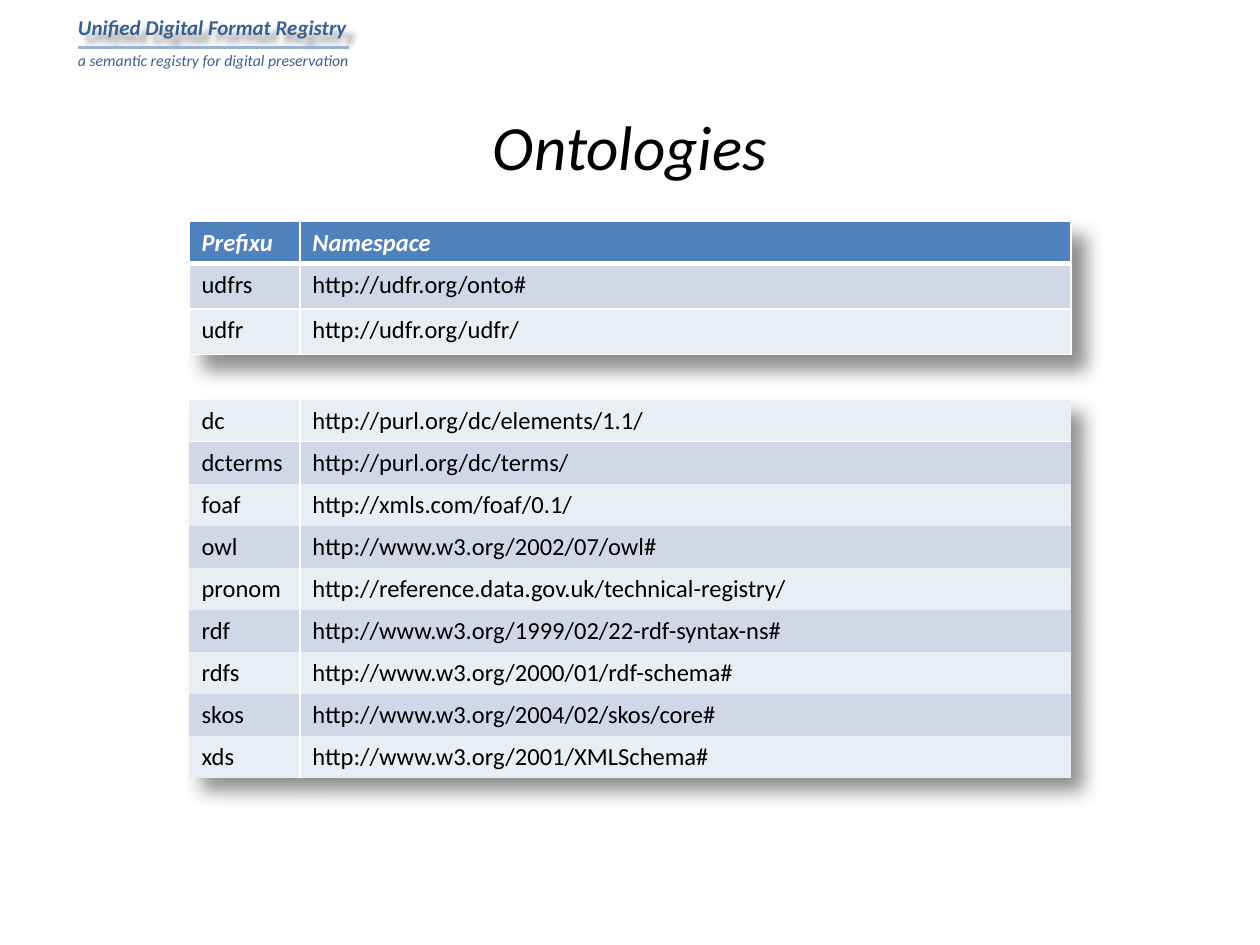
from lxml.etree import SubElement
from pptx import Presentation
from pptx.dml.color import RGBColor
from pptx.enum.shapes import MSO_CONNECTOR
from pptx.enum.text import MSO_ANCHOR, PP_ALIGN
from pptx.oxml import parse_xml
from pptx.oxml.ns import nsdecls, qn
from pptx.util import Inches, Pt

"""Build the Ontologies slide with its two namespace tables."""

WHITE = RGBColor(0xFF, 0xFF, 0xFF)
BLACK = RGBColor(0x00, 0x00, 0x00)
NAVY = RGBColor(0x37, 0x60, 0x92)
RULE_BLUE = RGBColor(0x95, 0xB3, 0xD7)
HEADER_BLUE = RGBColor(0x4F, 0x81, 0xBD)
BAND_DARK = RGBColor(0xD0, 0xD8, 0xE8)
BAND_LIGHT = RGBColor(0xE9, 0xED, 0xF4)
NO_STYLE = "{2D5ABB26-0587-4C30-8999-92F81FD0307C}"


def shadow_effect(blur, distance):
    return parse_xml(
        f'<a:effectLst {nsdecls("a")}><a:outerShdw blurRad="{Inches(blur)}" '
        f'dist="{Inches(distance)}" dir="2700000" algn="tl" rotWithShape="0">'
        '<a:srgbClr val="000000"><a:alpha val="43000"/></a:srgbClr>'
        "</a:outerShdw></a:effectLst>"
    )


def write(paragraph, text, size, color, bold=False, italic=False):
    paragraph.text = text
    paragraph.font.color.rgb = color
    formats = {"name": "Calibri", "size": Pt(size), "bold": bold, "italic": italic}
    for name, value in formats.items():
        setattr(paragraph.font, name, value)


presentation = Presentation()
presentation.slide_width = Inches(10)
presentation.slide_height = Inches(7.5)
slide = presentation.slides.add_slide(presentation.slide_layouts[6])

texts = [
    ("Unified Digital Format Registry", (0.52, 0.07, 2.4, 0.3), 12, NAVY, True),
    ("a semantic registry for digital preservation", (0.52, 0.35, 2.42, 0.25), 9, NAVY, False),
    ("Ontologies", (0.5, 0.75, 9, 0.8), 36, BLACK, False),
]
boxes = []
for text, place, size, color, bold in texts:
    box = slide.shapes.add_textbox(*[Inches(length) for length in place])
    box.text_frame.word_wrap = True
    write(box.text_frame.paragraphs[0], text, size, color, bold, True)
    boxes.append(box)

brand, tagline, title = boxes
brand._element.spPr.append(shadow_effect(0.05, 0.08))
title.text_frame.vertical_anchor = MSO_ANCHOR.MIDDLE
title.text_frame.paragraphs[0].alignment = PP_ALIGN.CENTER

rule = slide.shapes.add_connector(
    MSO_CONNECTOR.STRAIGHT, Inches(0.62), Inches(0.38), Inches(2.77), Inches(0.38)
)
rule.line.color.rgb = RULE_BLUE
rule.line.width = Pt(1.75)
SubElement(rule._element.spPr, qn("a:effectLst"))

project_rows = [
    ("Prefixu", "Namespace"),
    ("udfrs", "http://udfr.org/onto#"),
    ("udfr", "http://udfr.org/udfr/"),
]
external_rows = [
    ("dc", "http://purl.org/dc/elements/1.1/"),
    ("dcterms", "http://purl.org/dc/terms/"),
    ("foaf", "http://xmls.com/foaf/0.1/"),
    ("owl", "http://www.w3.org/2002/07/owl#"),
    ("pronom", "http://reference.data.gov.uk/technical-registry/"),
    ("rdf", "http://www.w3.org/1999/02/22-rdf-syntax-ns#"),
    ("rdfs", "http://www.w3.org/2000/01/rdf-schema#"),
    ("skos", "http://www.w3.org/2004/02/skos/core#"),
    ("xds", "http://www.w3.org/2001/XMLSchema#"),
]
tables = [
    (project_rows, 1.76, 0.36, True),
    (external_rows, 3.17, 0.31, False),
]

for rows, top, row_height, has_header in tables:
    height = 0.3 + row_height * (len(rows) - 1)
    frame = slide.shapes.add_table(
        len(rows), 2, Inches(1.5), Inches(top), Inches(7), Inches(height)
    )
    table = frame.table
    table.first_row = has_header
    properties = table._tbl.tblPr
    properties.find(qn("a:tableStyleId")).text = NO_STYLE
    properties.insert(0, shadow_effect(0.15, 0.15))
    for column, width in zip(table.columns, (0.88, 6.12)):
        column.width = Inches(width)

    for row_index, values in enumerate(rows):
        is_header = has_header and row_index == 0
        table.rows[row_index].height = Inches(row_height if row_index else 0.3)
        band = HEADER_BLUE if is_header else (BAND_LIGHT, BAND_DARK)[row_index % 2]
        for column_index, value in enumerate(values):
            cell = table.cell(row_index, column_index)
            write(
                cell.text_frame.paragraphs[0], value, 14,
                WHITE if is_header else BLACK, is_header, is_header,
            )
            below_header = has_header and row_index == 1
            borders = {
                "L": 1 if has_header or column_index == 1 else 0,
                "R": 1 if has_header or column_index == 0 else 0,
                "T": 3 if below_header else 1 if has_header or row_index < 2 else 0,
                "B": 3 if is_header else 1 if has_header or row_index == 0 else 0,
            }
            cell_properties = cell._tc.get_or_add_tcPr()
            for side, width in borders.items():
                border = SubElement(cell_properties, qn(f"a:ln{side}"), w=str(Pt(width)))
                if width:
                    fill = SubElement(border, qn("a:solidFill"))
                    SubElement(fill, qn("a:srgbClr"), val=str(WHITE))
                else:
                    SubElement(border, qn("a:noFill"))
            cell.fill.solid()
            cell.fill.fore_color.rgb = band

presentation.save("out.pptx")
